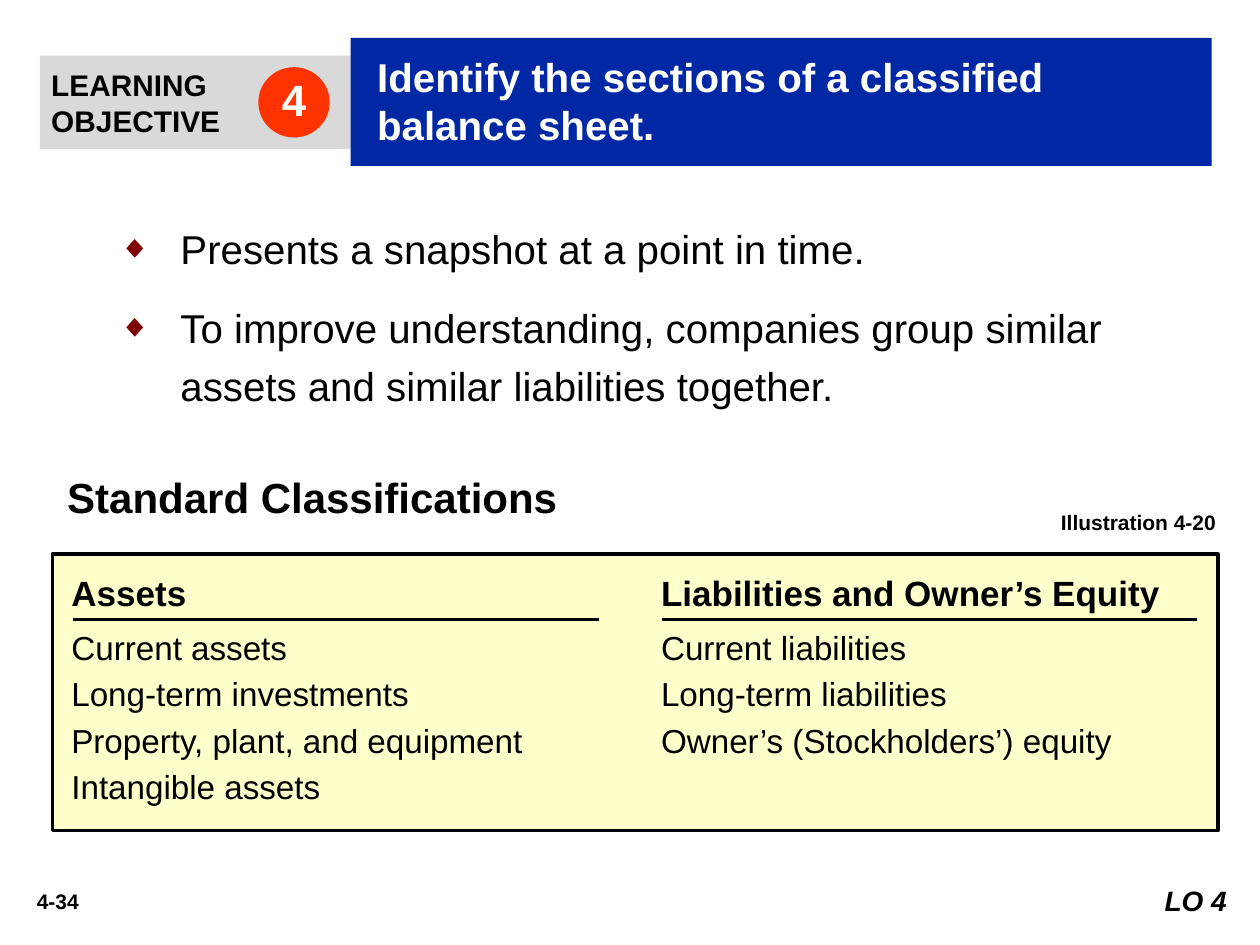
"""Build the slide on the sections of a classified balance sheet."""
from lxml.etree import SubElement
from pptx import Presentation
from pptx.dml.color import RGBColor
from pptx.enum.shapes import MSO_CONNECTOR, MSO_SHAPE
from pptx.enum.text import MSO_ANCHOR as ANCHOR, PP_ALIGN as ALIGN
from pptx.oxml.ns import qn
from pptx.util import Inches, Pt

COLORS = {
    "black": "000000", "white": "FFFFFF", "gray": "D9D9D9", "blue": "0027A4",
    "orange": "FF3300", "cream": "FFFFCC", "maroon": "800000",
}

presentation = Presentation()
presentation.slide_width, presentation.slide_height = Inches(10), Inches(7.5)
COLUMN = presentation.slide_width / 120
ROW = presentation.slide_height / 90
slide = presentation.slides.add_slide(presentation.slide_layouts[6])


def color(name):
    return RGBColor.from_string(COLORS[name])


def add_box(place, lines, size, fill=None, kind=MSO_SHAPE.RECTANGLE, ink="black", bold=True,
            align=ALIGN.LEFT, anchor=ANCHOR.TOP, insets=(0.1, 0.05, 0.1, 0.05)):
    left, top, width, height = place
    area = [int(left * COLUMN), int(top * ROW), int(width * COLUMN), int(height * ROW)]
    if fill:
        shape = slide.shapes.add_shape(kind, *area)
        shape.shadow.inherit = False
        shape.fill.solid()
        shape.fill.fore_color.rgb = color(fill)
        shape.line.fill.background()
    else:
        shape = slide.shapes.add_textbox(*area)
    frame = shape.text_frame
    frame.word_wrap = True
    frame.vertical_anchor = anchor
    frame.margin_left, frame.margin_top, frame.margin_right, frame.margin_bottom = map(Inches, insets)
    frame.text = "\n".join(lines)
    for paragraph in frame.paragraphs:
        paragraph.alignment = align
        for run in paragraph.runs:
            run.font.name, run.font.size, run.font.bold = "Arial", Pt(size), bold
            run.font.color.rgb = color(ink)
    return shape


add_box((1, 84, 9, 3.6), ["4-34"], 12, align=ALIGN.CENTER)

points = add_box((7, 19.9, 105, 20), [
    "Presents a snapshot at a point in time.",
    "To improve understanding, companies group similar assets and similar liabilities together.",
], 23, bold=False)
for index, paragraph in enumerate(points.text_frame.paragraphs):
    paragraph.line_spacing = 1.2
    if index:
        paragraph.space_before = Pt(12)
    properties = paragraph._p.get_or_add_pPr()
    properties.set("marL", str(Inches(0.75)))
    properties.set("indent", str(Inches(-0.49)))
    bullet_color = SubElement(properties, qn("a:buClr"))
    SubElement(bullet_color, qn("a:srgbClr"), val=COLORS["maroon"])
    SubElement(properties, qn("a:buSzPct"), val="80000")
    SubElement(properties, qn("a:buFont"), typeface="Arial")
    SubElement(properties, qn("a:buChar"), char="◆")

classifications = add_box((5, 52.8, 111, 26.3), [
    "Assets\tLiabilities and Owner’s Equity",
    "Current assets\tCurrent liabilities",
    "Long-term investments\tLong-term liabilities",
    "Property, plant, and equipment\tOwner’s (Stockholders’) equity",
    "Intangible assets",
], 19, fill="cream", bold=False, insets=(0.15, 0.1, 0.1, 0.1))
classifications.line.color.rgb = color("black")
classifications.line.width = Pt(2.25)
heading, *entries = classifications.text_frame.paragraphs
heading.line_spacing = 1.1
for run in heading.runs:
    run.font.size, run.font.bold = Pt(20), True
for index, paragraph in enumerate(entries):
    paragraph.space_before = Pt(3.8 if index else 7.8)
for paragraph in [heading, *entries]:
    tabs = SubElement(paragraph._p.get_or_add_pPr(), qn("a:tabLst"))
    SubElement(tabs, qn("a:tab"), pos=str(Inches(4.68)), algn="l")

add_box((96, 47.9, 21, 3.6), ["Illustration 4-20"], 12, align=ALIGN.RIGHT)
subtitle = add_box((4, 44.9, 62, 6), ["Standard Classifications"], 24, insets=(0.2, 0.05, 0.2, 0.05))
subtitle.text_frame.paragraphs[0].line_spacing = 0.9

for start, end in ((63, 114), (7, 57)):
    rule = slide.shapes.add_connector(
        MSO_CONNECTOR.STRAIGHT, int(start * COLUMN), int(59 * ROW), int(end * COLUMN), int(59 * ROW))
    rule.line.color.rgb = color("black")
    rule.line.width = Pt(2.25)
    SubElement(rule._element.spPr, qn("a:effectLst"))

add_box((3.8, 5.3, 29.6, 8.9), ["LEARNING", "OBJECTIVE"], 17, fill="gray",
        anchor=ANCHOR.MIDDLE, insets=(0.09, 0.05, 0.09, 0.05))
add_box((33.4, 3.6, 82, 12.2), ["Identify the sections of a classified balance sheet."], 23,
        fill="blue", ink="white", anchor=ANCHOR.MIDDLE, insets=(0.21, 0.03, 0.09, 0.05))
add_box((24.6, 6.4, 6.8, 6.7), ["4"], 25, fill="orange", kind=MSO_SHAPE.OVAL, ink="white",
        align=ALIGN.CENTER, anchor=ANCHOR.MIDDLE, insets=(0.1, 0, 0.1, 0.05))
objective = add_box((108, 83.6, 10, 4.4), ["LO 4"], 16, fill="white", align=ALIGN.RIGHT)
objective.text_frame.paragraphs[0].runs[0].font.italic = True

presentation.save("out.pptx")
